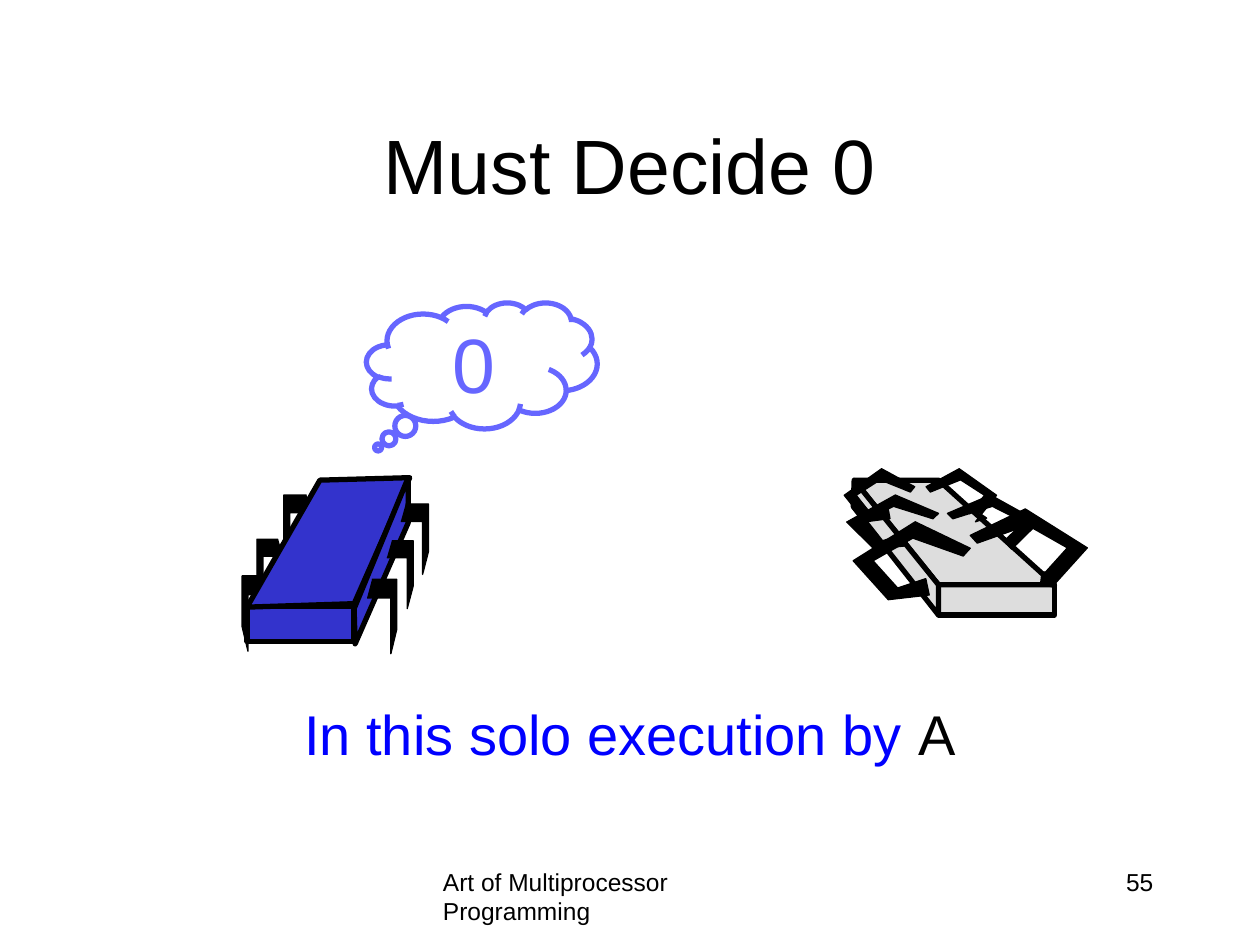
"""Build the slide "Must Decide 0" with two robots and a thought bubble."""
from dataclasses import dataclass

import pptx
import pptx.dml.color
import pptx.enum.shapes
import pptx.enum.text
import pptx.oxml
import pptx.oxml.ns
import pptx.util

Cm = pptx.util.Cm
Pt = pptx.util.Pt
Align = pptx.enum.text.PP_ALIGN
Points = list[tuple[float, float]]

COLORS = {
    "ink": "000000",
    "active": "3333CC",
    "idle": "DDDDDD",
    "thought": "6666FF",
    "caption": "0000FF",
}
BODY_LINE = 3
LEG_LINE = 0.75


@dataclass
class Box:
    left: float
    top: float
    width: float
    height: float

    def lengths(self) -> list[pptx.util.Length]:
        return [Cm(v) for v in (self.left, self.top, self.width, self.height)]


@dataclass
class StraightLeg:
    outer: float
    top: float
    width: float
    height: float
    inward: int

    def outline(self) -> Points:
        steps = [(self.width - 0.1, 0), (0, 0), (0, 0.67), (0.12, 1), (0.12, 0.25), (self.width, 0.25)]
        return [(self.outer + self.inward * x, self.top + self.height * y) for x, y in steps]


@dataclass
class BentLeg:
    box: Box
    mirrored: bool = False
    foot: tuple = ((0.62, 0.73), (0.65, 0.94))
    heel: tuple = ()

    def outline(self) -> Points:
        shin = ((0.3, 1), (0, 0.5), (0.53, 0), (1, 0.34), (0.94, 0.44), (0.51, 0.21), (0.17, 0.5), (0.38, 0.85))
        return [
            (self.box.left + self.box.width * (1 - x if self.mirrored else x), self.box.top + self.box.height * y)
            for x, y in self.foot + shin + self.heel
        ]


@dataclass
class Robot:
    color: str
    front: Box
    top: Points
    side: Points
    legs: list
    closed_legs: bool


ACTIVE_ROBOT = Robot(
    "active",
    Box(4.98, 12.22, 2.16, 0.71),
    [(4.98, 12.24), (7.14, 12.17), (8.26, 9.63), (6.45, 9.68)],
    [(8.23, 9.63), (8.23, 10.54), (7.16, 12.98), (7.14, 12.27)],
    [
        StraightLeg(4.88, 11.61, 0.58, 1.52, 1),
        StraightLeg(5.18, 10.87, 0.53, 1.37, 1),
        StraightLeg(5.72, 9.98, 0.56, 1.42, 1),
        StraightLeg(8, 11.68, 0.6, 1.5, -1),
        StraightLeg(8.33, 10.9, 0.53, 1.37, -1),
        StraightLeg(8.64, 10.16, 0.56, 1.42, -1),
    ],
    False,
)
IDLE_ROBOT = Robot(
    "idle",
    Box(18.92, 11.79, 2.34, 0.61),
    [(17.22, 9.68), (18.92, 11.79), (21.26, 11.79), (18.92, 9.68)],
    [(17.22, 9.68), (17.2, 10.21), (18.92, 12.4), (18.92, 11.79)],
    [
        BentLeg(Box(17.2, 10.52, 2.36, 1.57)),
        BentLeg(Box(17.07, 9.98, 1.85, 1.09)),
        BentLeg(Box(17.02, 9.45, 1.42, 1.07)),
        BentLeg(Box(19.1, 9.98, 1.85, 1.09), True, ((0.42, 0.67), (0.38, 0.86))),
        BentLeg(Box(18.67, 9.45, 1.42, 1.07), True, ((0.38, 0.71), (0.14, 0.93))),
        BentLeg(Box(19.56, 10.26, 2.36, 1.57), True,
                ((0.34, 0.89), (0.39, 0.85), (0.4, 0.97)), ((0.34, 0.81), (0.42, 0.81))),
    ],
    True,
)


def rgb(color: str) -> pptx.dml.color.RGBColor:
    """Return the named colour."""
    return pptx.dml.color.RGBColor.from_string(COLORS[color])


def paint(shape, fill: str | None, line: str, weight: float) -> None:
    """Set the fill and outline of a shape and drop its shadow."""
    shape.shadow.inherit = False
    if fill:
        shape.fill.solid()
        shape.fill.fore_color.rgb = rgb(fill)
    else:
        shape.fill.background()
    shape.line.color.rgb = rgb(line)
    shape.line.width = Pt(weight)


def style(font, size: float, color: str | None = "ink") -> None:
    """Set typeface, size and optionally colour."""
    font.name = "Arial"
    font.size = Pt(size)
    if color:
        font.color.rgb = rgb(color)


def place(shape, box: Box) -> None:
    """Move a placeholder to a box."""
    shape.left, shape.top, shape.width, shape.height = box.lengths()


def draw_outline(shapes, points: Points, fill: str, weight: float, closed: bool = True) -> None:
    """Draw a polygon through points given in centimetres."""
    corners = [(Cm(x), Cm(y)) for x, y in points]
    builder = shapes.build_freeform(*corners[0])
    builder.add_line_segments(corners[1:], close=closed)
    paint(builder.convert_to_shape(), fill, "ink", weight)


def draw_robot(slide, robot: Robot) -> None:
    """Draw a grouped robot with its legs in front of its body."""
    parts = slide.shapes.add_group_shape().shapes
    front = parts.add_shape(pptx.enum.shapes.MSO_SHAPE.RECTANGLE, *robot.front.lengths())
    paint(front, robot.color, "ink", BODY_LINE)
    far_legs, near_legs = ([], robot.legs) if robot.closed_legs else (robot.legs[:3], robot.legs[3:])
    for leg in far_legs:
        draw_outline(parts, leg.outline(), "ink", LEG_LINE, robot.closed_legs)
    for face in (robot.top, robot.side):
        draw_outline(parts, face, robot.color, BODY_LINE)
    for leg in near_legs:
        draw_outline(parts, leg.outline(), "ink", LEG_LINE, robot.closed_legs)


def add_footer(slide, text: str, box: Box, alignment) -> None:
    """Add a small line of text at the foot of the slide."""
    frame = slide.shapes.add_textbox(*box.lengths()).text_frame
    frame.word_wrap = True
    footer = frame.paragraphs[0]
    footer.text = text
    footer.alignment = alignment
    style(footer.font, 14)


def add_title(slide) -> None:
    """Fill the title placeholder."""
    title = slide.shapes.title
    place(title, Box(1.9, 1.7, 21.6, 3.18))
    title.text_frame.vertical_anchor = pptx.enum.text.MSO_ANCHOR.MIDDLE
    heading = title.text_frame.paragraphs[0]
    heading.text = "Must Decide 0"
    heading.alignment = Align.CENTER
    style(heading.font, 44)


def add_caption(slide) -> None:
    """Fill the body placeholder with an unbulleted caption."""
    body = slide.placeholders[1]
    place(body, Box(1.9, 13.97, 21.6, 2.97))
    body.text_frame.auto_size = pptx.enum.text.MSO_AUTO_SIZE.NONE
    caption = body.text_frame.paragraphs[0]
    properties = caption._p.get_or_add_pPr()
    properties.set("marL", str(Cm(0.95)))
    properties.set("indent", str(Cm(-0.95)))
    properties.append(pptx.oxml.parse_xml(f"<a:buNone {pptx.oxml.ns.nsdecls('a')}/>"))
    caption.alignment = Align.CENTER
    caption.space_before = Pt(0)
    style(caption.font, 32, None)
    for text, color in (("In this solo execution by ", "caption"), ("A", "ink")):
        run = caption.add_run()
        run.text = text
        run.font.color.rgb = rgb(color)


def add_thought(slide) -> None:
    """Draw the thought bubble above the active robot."""
    cloud = slide.shapes.add_shape(
        pptx.enum.shapes.MSO_SHAPE.CLOUD_CALLOUT, *Box(7.39, 6.1, 4.65, 2.54).lengths())
    cloud.adjustments[0], cloud.adjustments[1] = -0.45, 0.65
    paint(cloud, None, "thought", BODY_LINE)
    cloud.text_frame.vertical_anchor = pptx.enum.text.MSO_ANCHOR.MIDDLE
    decision = cloud.text_frame.paragraphs[0]
    decision.text = "0"
    decision.alignment = Align.CENTER
    style(decision.font, 44, "thought")


def main() -> None:
    """Build and save the slide."""
    deck = pptx.Presentation()
    deck.slide_width, deck.slide_height = Cm(25.4), Cm(19.05)
    slide = deck.slides.add_slide(deck.slide_layouts[1])
    add_footer(slide, "Art of Multiprocessor Programming", Box(8.68, 17.35, 8.05, 1.27), Align.LEFT)
    add_footer(slide, "55", Box(18.2, 17.35, 5.3, 1.27), Align.RIGHT)
    add_title(slide)
    add_caption(slide)
    for robot in (ACTIVE_ROBOT, IDLE_ROBOT):
        draw_robot(slide, robot)
    add_thought(slide)
    deck.save("out.pptx")


if __name__ == "__main__":
    main()
